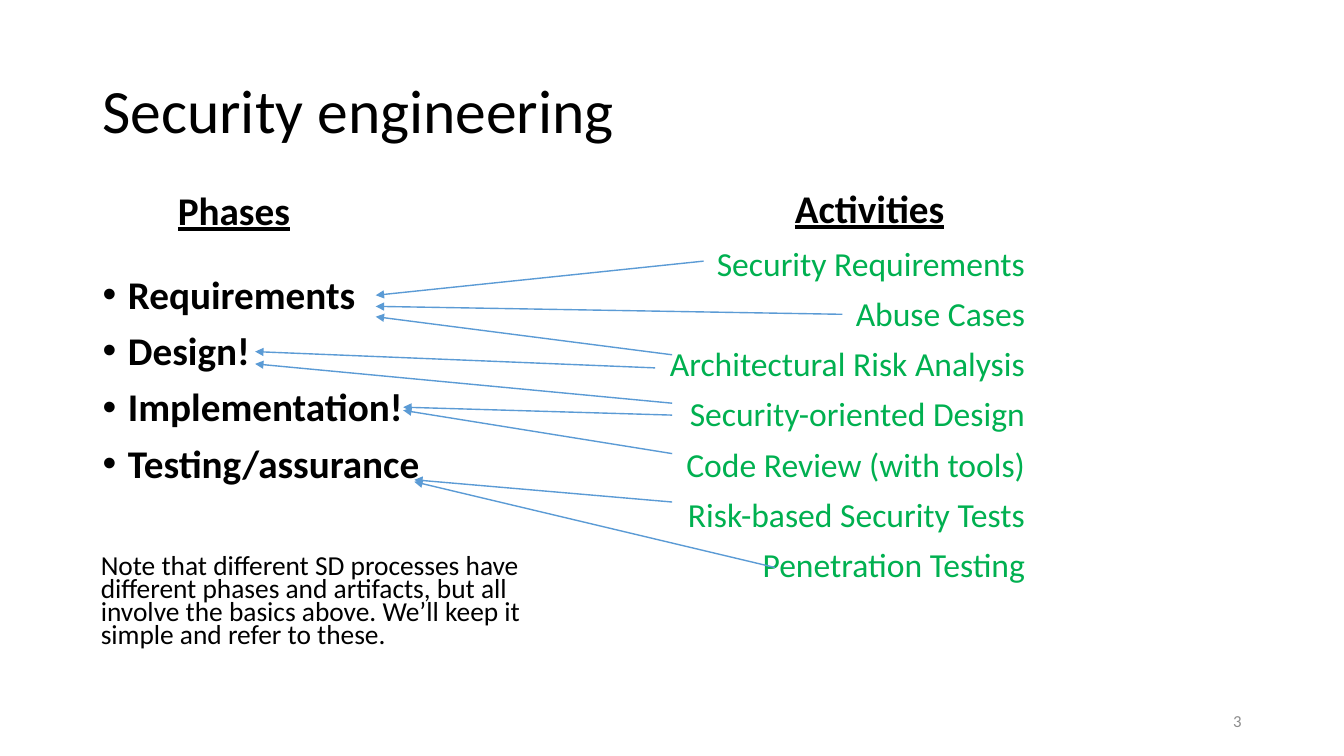
from dataclasses import dataclass

from lxml.etree import SubElement
from pptx import Presentation
from pptx.dml.color import RGBColor
from pptx.enum.shapes import MSO_CONNECTOR as Connector
from pptx.enum.text import MSO_ANCHOR as Anchor, PP_ALIGN as Align
from pptx.oxml.ns import qn
from pptx.util import Cm, Pt


@dataclass(frozen=True)
class Theme:
    """Colours, font and type sizes of the slide."""
    font: str = "Calibri"
    ink: str = "000000"
    activity: str = "00B050"
    arrow: str = "5B9BD5"
    number: str = "8C8C8C"
    title_size: float = 44
    heading_size: float = 28
    activity_size: float = 24
    note_size: float = 19.6
    number_size: float = 12


THEME = Theme()

PHASES = ["Requirements", "Design!", "Implementation!", "Testing/assurance"]
ACTIVITIES = [
    "Security Requirements",
    "Abuse Cases",
    "Architectural Risk Analysis",
    "Security-oriented Design",
    "Code Review (with tools)",
    "Risk-based Security Tests",
    "Penetration Testing",
]
NOTE = ("Note that different SD processes have different phases and artifacts, "
        "but all involve the basics above. We’ll keep it simple and refer to these.")
PHASE_ARROWS = {
    "Requirements": (3.04, [((11.3, 0), 0.86), ((14.8, 1.34), 1.14), ((10.51, 2.36), 1.4)]),
    "Design!": (0, [((10.08, 2.69), 2.28), ((10.51, 3.58), 2.59)]),
    "Implementation!": (3.73, [((10.51, 3.88), 3.68), ((10.51, 4.85), 3.76)]),
    "Testing/assurance": (4.01, [((10.51, 6.07), 5.51), ((13.1, 7.72), 5.56)]),
}


def add_bullet(paragraph):
    """Give the paragraph a hanging round bullet."""
    properties = paragraph._p.get_or_add_pPr()
    properties.set("marL", str(Cm(0.635)))
    properties.set("indent", str(-Cm(0.635)))
    SubElement(properties, qn("a:buFont")).set("typeface", "Arial")
    SubElement(properties, qn("a:buChar")).set("char", "•")


def add_text(slide, text, box, size, color=THEME.ink, bold=False, underline=False,
             align=Align.LEFT, anchor=Anchor.TOP, spacing=0.9, before=10, bullet=False):
    """Place text, one paragraph a line, in a box of left, top, width, height in cm."""
    frame = slide.shapes.add_textbox(*map(Cm, box)).text_frame
    frame.word_wrap = True
    frame.vertical_anchor = anchor
    frame.text = text
    for paragraph in frame.paragraphs:
        paragraph.alignment = align
        paragraph.line_spacing = spacing
        paragraph.space_before = Pt(before)
        if bullet:
            add_bullet(paragraph)
        for run in paragraph.runs:
            run.font.name = THEME.font
            run.font.size = Pt(size)
            run.font.bold = bold
            run.font.underline = underline
            run.font.color.rgb = RGBColor.from_string(color)


def add_arrow(slide, start, tip):
    """Draw a thin arrow between two points in cm."""
    connector = slide.shapes.add_connector(Connector.STRAIGHT, *map(Cm, start + tip))
    connector.line.color.rgb = RGBColor.from_string(THEME.arrow)
    connector.line.width = Pt(1)
    SubElement(connector.line._get_or_add_ln(), qn("a:tailEnd")).set("type", "triangle")
    SubElement(connector._element.spPr, qn("a:effectLst"))


def add_heading(slide, text, left, top):
    """Place an underlined column heading."""
    add_text(slide, text, (left, top, 7.21, 1.9), THEME.heading_size,
             bold=True, underline=True, align=Align.CENTER)


def add_phases(slide, left, top, width):
    """Place the phases column with its heading, bullets and note."""
    add_heading(slide, "Phases", left, top)
    add_text(slide, "\n".join(PHASES), (left + 0.05, top + 2.11, width, 6.83),
             THEME.heading_size, bold=True, bullet=True)
    add_text(slide, NOTE, (left, top + 9.22, width, 2.84), THEME.note_size, spacing=0.7)


def add_activities(slide, left, top, width):
    """Place the activities column with its heading."""
    add_heading(slide, "Activities", left + 1.93, top)
    add_text(slide, "\n".join(ACTIVITIES), (left, top + 1.45, width, 9.09),
             THEME.activity_size, color=THEME.activity, align=Align.RIGHT)


def add_phase_arrows(slide, left, top):
    """Lead the activities to the phases they belong to."""
    for tip_x, arrows in PHASE_ARROWS.values():
        for (start_x, start_y), tip_y in arrows:
            add_arrow(slide, (left + start_x, top + start_y), (left + tip_x, top + tip_y))


def add_frame(slide, left, top, width):
    """Place the title and the slide number."""
    add_text(slide, "Security engineering", (left, top, width, 3.68),
             THEME.title_size, anchor=Anchor.MIDDLE, before=0)
    add_text(slide, "3", (left + width - 7.62, top + 16.64, 7.62, 1.01), THEME.number_size,
             color=THEME.number, align=Align.RIGHT, anchor=Anchor.MIDDLE, spacing=1, before=0)


def main():
    """Build and save the slide."""
    presentation = Presentation()
    presentation.slide_width, presentation.slide_height = Cm(33.87), Cm(19.05)
    slide = presentation.slides.add_slide(presentation.slide_layouts[6])
    add_frame(slide, 2.33, 1.02, 29.21)
    add_phases(slide, 2.29, 4.7, 11.55)
    add_activities(slide, 16.38, 4.65, 9.7)
    add_phase_arrows(slide, 6.43, 6.58)
    presentation.save("out.pptx")


if __name__ == "__main__":
    main()
